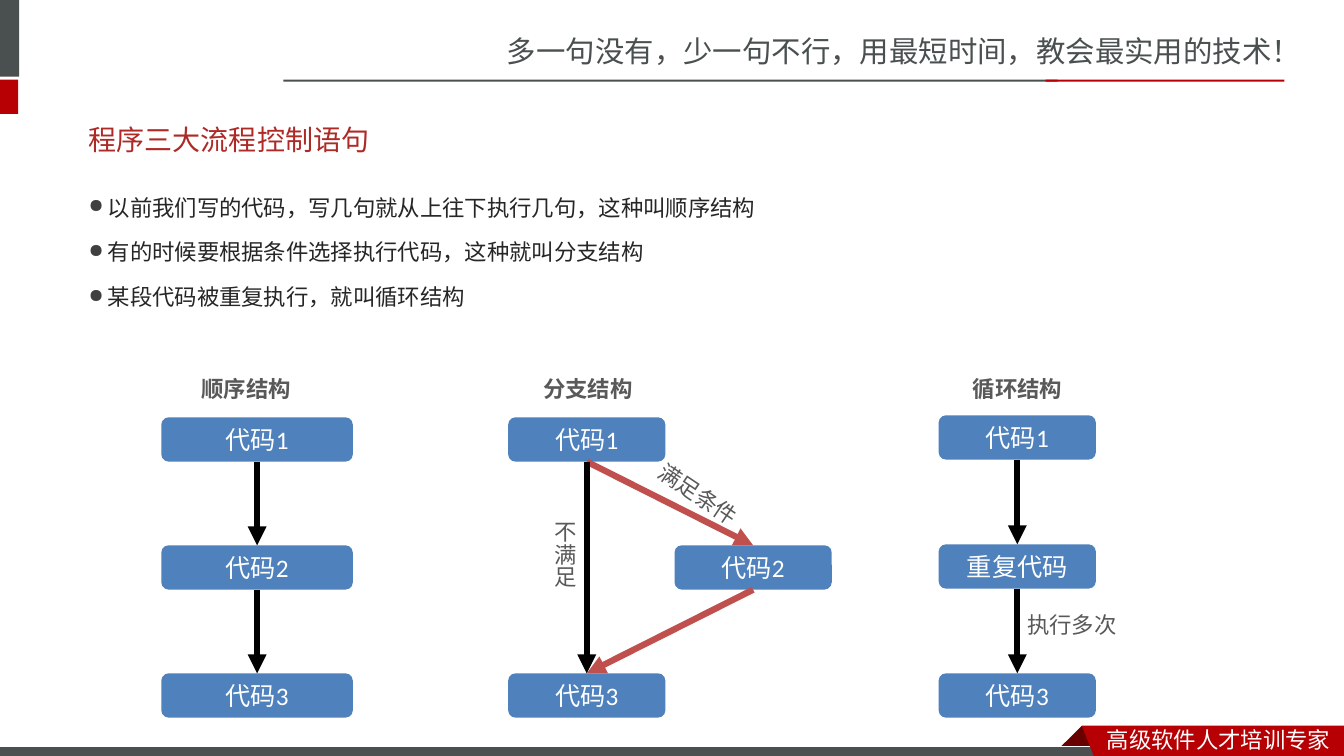
from dataclasses import dataclass

from lxml.etree import SubElement as Sub
from pptx import Presentation
from pptx.dml.color import RGBColor as RGB
from pptx.enum.shapes import MSO_CONNECTOR as Conn, MSO_SHAPE as Shape
from pptx.enum.text import MSO_ANCHOR as Anchor, PP_ALIGN as Align
from pptx.oxml.ns import qn
from pptx.util import Inches, Pt


@dataclass(frozen=True)
class Theme:
    gray: str = "49504F"
    red: str = "B60004"
    dark: str = "680000"
    white: str = "FFFFFF"
    title: str = "AD2A26"
    body: str = "262626"
    dot: str = "404040"
    note: str = "595959"
    box: str = "4F81BD"
    flow: str = "000000"
    jump: str = "C0504D"
    motto_size: float = 21
    title_size: float = 20
    box_size: float = 18
    text_size: float = 16
    sans: str = "Noto Sans CJK SC"
    label: str = "Noto Sans CJK JP"
    latin: str = "Calibri"
    list: str = "Lato"


class Deck:
    def __init__(self, theme):
        self.theme = theme
        self.prs = Presentation()
        self.prs.slide_width, self.prs.slide_height = Inches(13.33), Inches(7.5)
        self.slide = self.prs.slides.add_slide(self.prs.slide_layouts[5])
        self.shapes = self.slide.shapes

    def style(self, frame, size, font, color, bold=False):
        for para in frame.paragraphs:
            for run in para.runs:
                face = run.font
                face.size, face.name, face.bold = Pt(size), font, bold
                face.color.rgb = RGB.from_string(color)
                Sub(run._r.get_or_add_rPr(), qn("a:ea"), typeface=font)

    def paint(self, shape, fill, line=None):
        shape.shadow.inherit = False
        shape.fill.solid()
        shape.fill.fore_color.rgb = RGB.from_string(fill)
        if line:
            shape.line.color.rgb = RGB.from_string(line)
            shape.line.width = Pt(0.75)
        else:
            shape.line.fill.background()

    def bar(self, at, fill, line=None):
        shape = self.shapes.add_shape(Shape.RECTANGLE, *map(Inches, at))
        self.paint(shape, fill, line)

    def patch(self, points, fill):
        first, *rest = [(Inches(x), Inches(y)) for x, y in points]
        path = self.shapes.build_freeform(*first)
        path.add_line_segments(rest, close=True)
        self.paint(path.convert_to_shape(), fill)

    def title(self, text, at):
        shape = self.shapes.title
        shape.left, shape.top, shape.width, shape.height = map(Inches, at)
        frame = shape.text_frame
        frame.text = text
        frame.vertical_anchor = Anchor.MIDDLE
        frame.paragraphs[0].alignment = Align.LEFT
        self.style(frame, self.theme.title_size, self.theme.latin, self.theme.title)

    def text(self, text, at, size, font, color, bold=False, wrap=True, turn=0, vert=None):
        shape = self.shapes.add_textbox(*map(Inches, at))
        shape.rotation = turn
        frame = shape.text_frame
        frame.word_wrap = wrap
        frame.text = text
        if vert:
            frame._txBody.bodyPr.set("vert", vert)
        self.style(frame, size, font, color, bold)
        return frame

    def note(self, text, at, **kind):
        t = self.theme
        self.text(text, at, t.text_size, t.label, t.note, **kind)

    def bullets(self, lines, at):
        t = self.theme
        frame = self.text("\n".join(lines), at, t.text_size, t.list, t.body)
        for para in frame.paragraphs:
            para.line_spacing = 1.5
            para.space_before = Pt(0.2 * t.text_size)
            props = para._p.get_or_add_pPr()
            props.set("marL", str(Inches(0.19)))
            props.set("indent", str(-Inches(0.19)))
            Sub(Sub(props, qn("a:buClr")), qn("a:srgbClr"), val=t.dot)
            Sub(props, qn("a:buSzPct"), val="85000")
            Sub(props, qn("a:buChar"), char="●")

    def box(self, text, at):
        t = self.theme
        shape = self.shapes.add_shape(Shape.ROUNDED_RECTANGLE, *map(Inches, at))
        self.paint(shape, t.box)
        frame = shape.text_frame
        frame.text = text
        frame.vertical_anchor = Anchor.MIDDLE
        frame.paragraphs[0].alignment = Align.CENTER
        self.style(frame, t.box_size, t.latin, t.white)
        return shape

    def link(self, start, end, color):
        # Bottom centre of one box to top centre of the next
        line = self.shapes.add_connector(Conn.STRAIGHT, 0, 0, 0, 0)
        line.begin_connect(start, 2)
        line.end_connect(end, 0)
        line.line.color.rgb = RGB.from_string(color)
        line.line.width = Pt(4.5)
        Sub(line.line._get_or_add_ln(), qn("a:tailEnd"), type="triangle")
        Sub(line._element.spPr, qn("a:effectLst"))


def main():
    t = Theme()
    deck = Deck(t)

    # Header and footer
    deck.text("多一句没有，少一句不行，用最短时间，教会最实用的技术！",
              (4.93, 0.28, 8.41, 0.47), t.motto_size, t.sans, t.gray)
    deck.bar((-0.06, 0, 0.25, 0.76), t.gray)
    deck.bar((-0.06, 0.79, 0.24, 0.34), t.red)
    deck.bar((2.81, 0.79, 7.68, 0.02), t.gray)
    deck.bar((10.37, 0.79, 2.37, 0.02), t.red)
    deck.patch([(10.73, 7.2), (10.95, 7.42), (10.94, 7.43), (10.52, 7.43), (10.51, 7.42)], t.dark)
    deck.bar((-0.01, 7.41, 11, 0.12), t.gray, t.white)
    deck.patch([(10.73, 7.2), (13.33, 7.2), (13.33, 7.54), (10.86, 7.53)], t.red)
    deck.text("高级软件人才培训专家", (10.88, 7.15, 2.45, 0.37), t.text_size, t.sans, t.white)

    # Title and bullets
    deck.title("程序三大流程控制语句", (0.78, 1.1, 11.72, 0.57))
    deck.bullets(["以前我们写的代码，写几句就从上往下执行几句，这种叫顺序结构",
                  "有的时候要根据条件选择执行代码，这种就叫分支结构",
                  "某段代码被重复执行，就叫循环结构"], (0.78, 1.74, 11.72, 4.98))

    # Flow charts: heading, its left edge, then boxes as text, left, top, width
    flows = [
        ("顺序结构", 1.9, [("代码1", 1.6, 4.14, 1.9), ("代码2", 1.6, 5.41, 1.9),
                       ("代码3", 1.6, 6.68, 1.9)]),
        ("分支结构", 5.29, [("代码1", 5.04, 4.14, 1.56), ("代码2", 6.69, 5.41, 1.56),
                        ("代码3", 5.04, 6.68, 1.56)]),
        ("循环结构", 9.55, [("代码1", 9.31, 4.12, 1.56), ("重复代码", 9.31, 5.4, 1.56),
                        ("代码3", 9.31, 6.68, 1.56)]),
    ]
    for head, left, parts in flows:
        deck.note(head, (left, 3.67, 1.09, 0.37), bold=True, wrap=False)
        top, mid, end = [deck.box(text, (x, y, w, 0.44)) for text, x, y, w in parts]
        split = mid.left != top.left
        color = t.jump if split else t.flow
        deck.link(top, mid, color)
        if split:
            deck.link(top, end, t.flow)
        deck.link(mid, end, color)

    # Arrow notes
    deck.note("满足条件", (6.36, 4.79, 1.35, 0.37), turn=33.9)
    deck.note("不满足", (5.32, 5.07, 0.47, 0.77), wrap=False, vert="eaVert")
    deck.note("执行多次", (10.09, 6.01, 1.09, 0.37), wrap=False)

    deck.prs.save("out.pptx")


if __name__ == "__main__":
    main()
